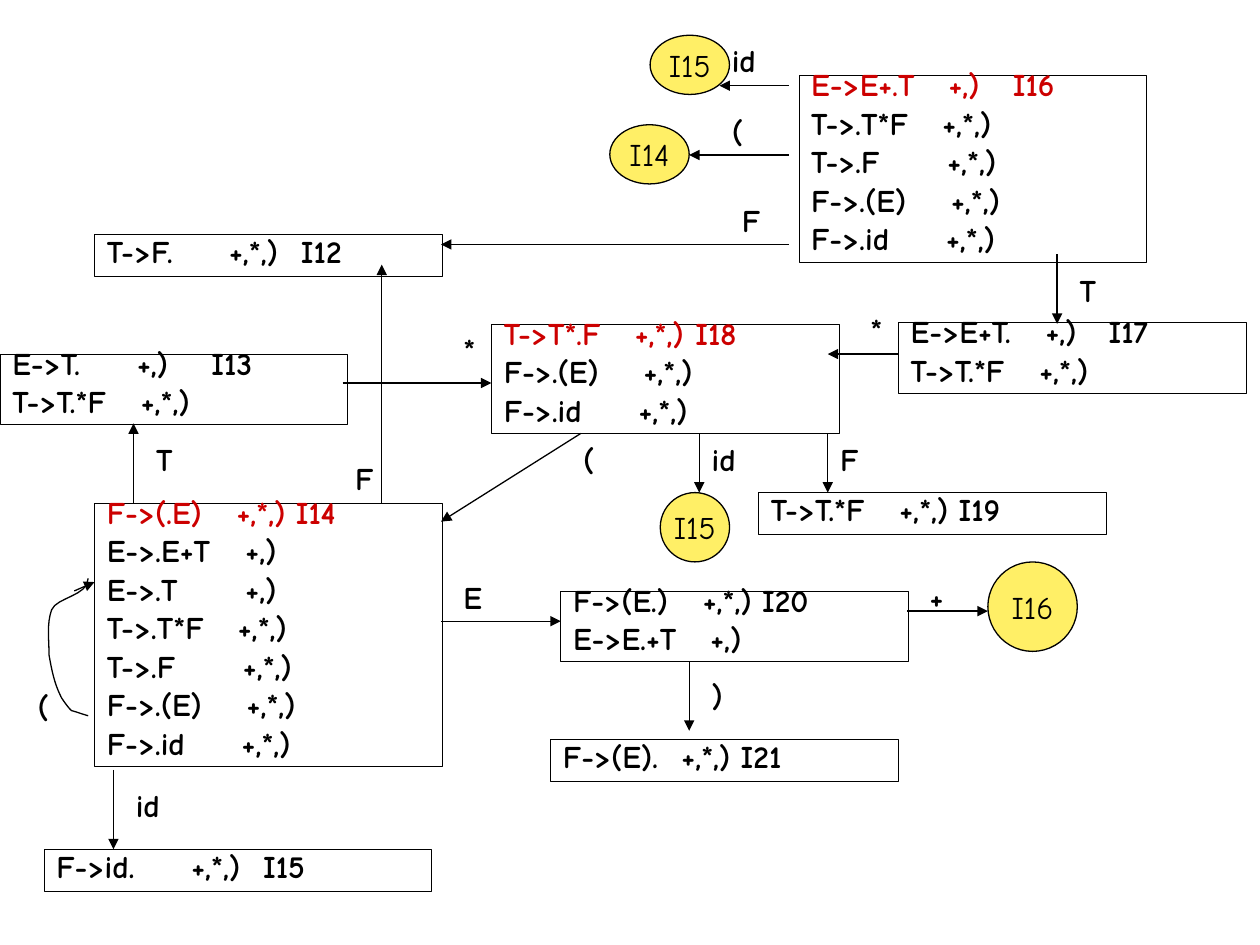
import pptx
import pptx.dml.color
import pptx.enum.shapes
import pptx.enum.text
import pptx.oxml
import pptx.oxml.ns
import pptx.util
from pptx.util import Inches

FONT = "Comic Neue"
BLACK, RED, YELLOW = "000000", "CC0000", "FFEF66"
BOX_WIDTH = 2.76
SHAPES = pptx.enum.shapes.MSO_SHAPE

# Where the lookahead column starts behind each item, in inches
LOOKAHEAD_TAB = {
    "T->F.": 0.97, "E->T.": 0.99, "T->T.*F": 1.02, "F->(.E)": 1.03,
    "E->.E+T": 1.1, "E->.T": 1.1, "T->.T*F": 1.04, "T->.F": 1.08,
    "F->.(E)": 1.11, "F->.id": 1.07, "F->id.": 1.07, "E->E+.T": 1.09,
    "T->T*.F": 1.04, "E->E+T.": 1.07, "F->(E.)": 1.03, "E->E.+T": 1.09,
    "F->(E).": 0.94,
}
ALL, SUM = "+,*,)", "+,)"
CLOSURE = [("T->.T*F", ALL), ("T->.F", ALL), ("F->.(E)", ALL), ("F->.id", ALL)]

# State, left, top, width, height, tab of the state name, items, first item colour
STATES = [
    ("I12", 0.75, 1.86, BOX_WIDTH, 0.33, 1.54, [("T->F.", ALL)], BLACK),
    ("I13", 0, 2.81, BOX_WIDTH, 0.56, 1.58,
     [("E->T.", SUM), ("T->T.*F", ALL)], BLACK),
    ("I14", 0.75, 3.99, BOX_WIDTH, 2.09, 1.5,
     [("F->(.E)", ALL), ("E->.E+T", SUM), ("E->.T", SUM)] + CLOSURE, RED),
    ("I15", 0.35, 6.74, 3.07, 0.33, 1.64, [("F->id.", ALL)], BLACK),
    ("I16", 6.34, 0.6, BOX_WIDTH, 1.48, 1.6, [("E->E+.T", SUM)] + CLOSURE, RED),
    ("I18", 3.9, 2.57, BOX_WIDTH, 0.87, 1.52,
     [("T->T*.F", ALL)] + CLOSURE[2:], RED),
    ("I20", 4.45, 4.69, BOX_WIDTH, 0.56, 1.5,
     [("F->(E.)", ALL), ("E->E.+T", SUM)], BLACK),
    ("I17", 7.13, 2.56, BOX_WIDTH, 0.56, 1.57,
     [("E->E+T.", SUM), ("T->T.*F", ALL)], BLACK),
    ("I19", 6.02, 3.91, BOX_WIDTH, 0.33, 1.49, [("T->T.*F", ALL)], BLACK),
    ("I21", 4.37, 5.87, BOX_WIDTH, 0.33, 1.41, [("F->(E).", ALL)], BLACK),
]

# Symbol, its left, top and width, then the arrow's start and end
TRANSITIONS = [
    ("*", 3.58, 2.57, 0.39, 2.72, 3.04, 3.9, 3.04),
    ("T", 1.14, 3.44, 0.39, 1.06, 3.99, 1.06, 3.36),
    ("F", 2.72, 3.59, 0.31, 3.03, 3.99, 3.03, 2.1),
    ("id", 0.98, 6.19, 0.47, 0.9, 6.11, 0.9, 6.74),
    ("(", 0.2, 5.4, 0.47, 0.59, 4.69, 0.75, 4.62),
    ("E", 3.58, 4.54, 0.63, 3.5, 4.93, 4.45, 4.93),
    ("T", 8.47, 2.1, 0.47, 8.39, 2.02, 8.39, 2.57),
    ("id", 5.71, 0.28, 0.55, 6.26, 0.68, 5.71, 0.68),
    ("(", 5.71, 0.84, 0.55, 6.26, 1.23, 5.47, 1.23),
    ("F", 5.79, 1.55, 0.39, 6.26, 1.94, 3.5, 1.94),
    ("*", 6.81, 2.41, 0.47, 7.13, 2.81, 6.57, 2.81),
    ("(", 4.53, 3.44, 0.47, 4.61, 3.44, 3.5, 4.14),
    ("id", 5.55, 3.44, 0.71, 5.55, 3.44, 5.55, 3.91),
    ("F", 6.57, 3.44, 0.47, 6.57, 3.44, 6.57, 3.91),
    (")", 5.55, 5.32, 0.71, 5.47, 5.25, 5.47, 5.8),
    ("+", 7.28, 4.54, 0.32, 7.2, 4.85, 7.84, 4.85),
]

# References to states drawn elsewhere: name, left, top, width, height
REFERENCES = [
    ("I15", 5.16, 0.28, 0.63, 0.47),
    ("I14", 4.84, 0.99, 0.63, 0.47),
    ("I15", 5.24, 3.91, 0.55, 0.55),
    ("I16", 7.84, 4.46, 0.71, 0.71),
]

# Bezier points of the loop on I14: start, then three per segment
LOOP = [
    (0.7, 5.68), (0.66, 5.67), (0.61, 5.65), (0.57, 5.64),
    (0.55, 5.63), (0.48, 5.53), (0.48, 5.52),
    (0.43, 5.42), (0.41, 5.31), (0.39, 5.2),
    (0.39, 5.08), (0.37, 4.95), (0.41, 4.84),
    (0.45, 4.74), (0.7, 4.73), (0.7, 4.59),
]


def color(hex_string):
    return pptx.dml.color.RGBColor.from_string(hex_string)


def outline(shape, width):
    shape.line.color.rgb = color(BLACK)
    shape.line.width = pptx.util.Pt(width)


def write(paragraph, text, hex_string=BLACK, bold=True):
    paragraph.text = text
    for run in paragraph.runs:
        run.font.name = FONT
        run.font.size = pptx.util.Pt(18)
        run.font.bold = bold
        run.font.color.rgb = color(hex_string)


def set_tabs(paragraph, positions):
    properties = paragraph._p.get_or_add_pPr()
    tab_list = pptx.oxml.parse_xml(
        "<a:tabLst %s/>" % pptx.oxml.ns.nsdecls("a"))
    for position in positions:
        tab = tab_list.makeelement(pptx.oxml.ns.qn("a:tab"),
                                   {"pos": str(Inches(position)), "algn": "l"})
        tab_list.append(tab)
    properties.append(tab_list)


def add_state(slide, name, left, top, width, height, name_tab, items, first_color):
    box = slide.shapes.add_shape(SHAPES.RECTANGLE, Inches(left), Inches(top),
                                 Inches(width), Inches(height))
    box.shadow.inherit = False
    box.fill.background()
    outline(box, 0.25)
    frame = box.text_frame
    frame.word_wrap = True
    frame.auto_size = pptx.enum.text.MSO_AUTO_SIZE.SHAPE_TO_FIT_TEXT
    frame.vertical_anchor = pptx.enum.text.MSO_ANCHOR.TOP
    for index, (rule, lookahead) in enumerate(items):
        first = index == 0
        line = frame.paragraphs[0] if first else frame.add_paragraph()
        cells = [rule, lookahead] + ([name] if first else [])
        write(line, "\t".join(cells), first_color if first else BLACK)
        line.alignment = pptx.enum.text.PP_ALIGN.LEFT
        line.line_spacing = 0.75 if len(items) == 1 else 0.5
        line.space_before = pptx.util.Pt(11.2)
        set_tabs(line, [LOOKAHEAD_TAB[rule], name_tab][:len(cells) - 1])


def add_arrow(slide, x1, y1, x2, y2):
    arrow = slide.shapes.add_connector(
        pptx.enum.shapes.MSO_CONNECTOR.STRAIGHT,
        Inches(x1), Inches(y1), Inches(x2), Inches(y2))
    outline(arrow, 0.75)
    namespace = pptx.oxml.ns.nsdecls("a")
    arrow.line._get_or_add_ln().append(
        pptx.oxml.parse_xml('<a:tailEnd %s type="triangle"/>' % namespace))
    arrow._element.spPr.append(
        pptx.oxml.parse_xml("<a:effectLst %s/>" % namespace))


def add_symbol(slide, symbol, left, top, width):
    label = slide.shapes.add_textbox(Inches(left), Inches(top),
                                     Inches(width), Inches(0.4))
    frame = label.text_frame
    frame.word_wrap = True
    frame.auto_size = pptx.enum.text.MSO_AUTO_SIZE.SHAPE_TO_FIT_TEXT
    write(frame.paragraphs[0], symbol)
    frame.paragraphs[0].space_before = pptx.util.Pt(11.2)


def add_reference(slide, name, left, top, width, height):
    oval = slide.shapes.add_shape(SHAPES.OVAL, Inches(left), Inches(top),
                                  Inches(width), Inches(height))
    oval.shadow.inherit = False
    oval.fill.solid()
    oval.fill.fore_color.rgb = color(YELLOW)
    outline(oval, 0.75)
    oval.text_frame.word_wrap = False
    oval.text_frame.vertical_anchor = pptx.enum.text.MSO_ANCHOR.MIDDLE
    write(oval.text_frame.paragraphs[0], name, bold=False)
    oval.text_frame.paragraphs[0].alignment = pptx.enum.text.PP_ALIGN.CENTER


def bezier_point(controls, t):
    weights = ((1 - t) ** 3, 3 * t * (1 - t) ** 2, 3 * t * t * (1 - t), t ** 3)
    return tuple(Inches(sum(w * c[axis] for w, c in zip(weights, controls)))
                 for axis in (0, 1))


def add_loop(slide, points, steps=8):
    curve = [bezier_point(points[i:i + 4], step / steps)
             for i in range(0, len(points) - 1, 3)
             for step in range(1, steps + 1)]
    builder = slide.shapes.build_freeform(Inches(points[0][0]),
                                          Inches(points[0][1]))
    builder.add_line_segments(curve, close=False)
    loop = builder.convert_to_shape()
    loop.shadow.inherit = False
    loop.fill.background()
    outline(loop, 0.75)


def main():
    deck = pptx.Presentation()
    deck.slide_width, deck.slide_height = Inches(10), Inches(7.5)
    slide = deck.slides.add_slide(deck.slide_layouts[6])
    # Item sets
    for state in STATES:
        add_state(slide, *state)
    # Transitions between them
    add_loop(slide, LOOP)
    for symbol, left, top, width, *ends in TRANSITIONS:
        add_arrow(slide, *ends)
        add_symbol(slide, symbol, left, top, width)
    # Jumps to states drawn elsewhere
    for reference in REFERENCES:
        add_reference(slide, *reference)
    deck.save("out.pptx")


if __name__ == "__main__":
    main()
